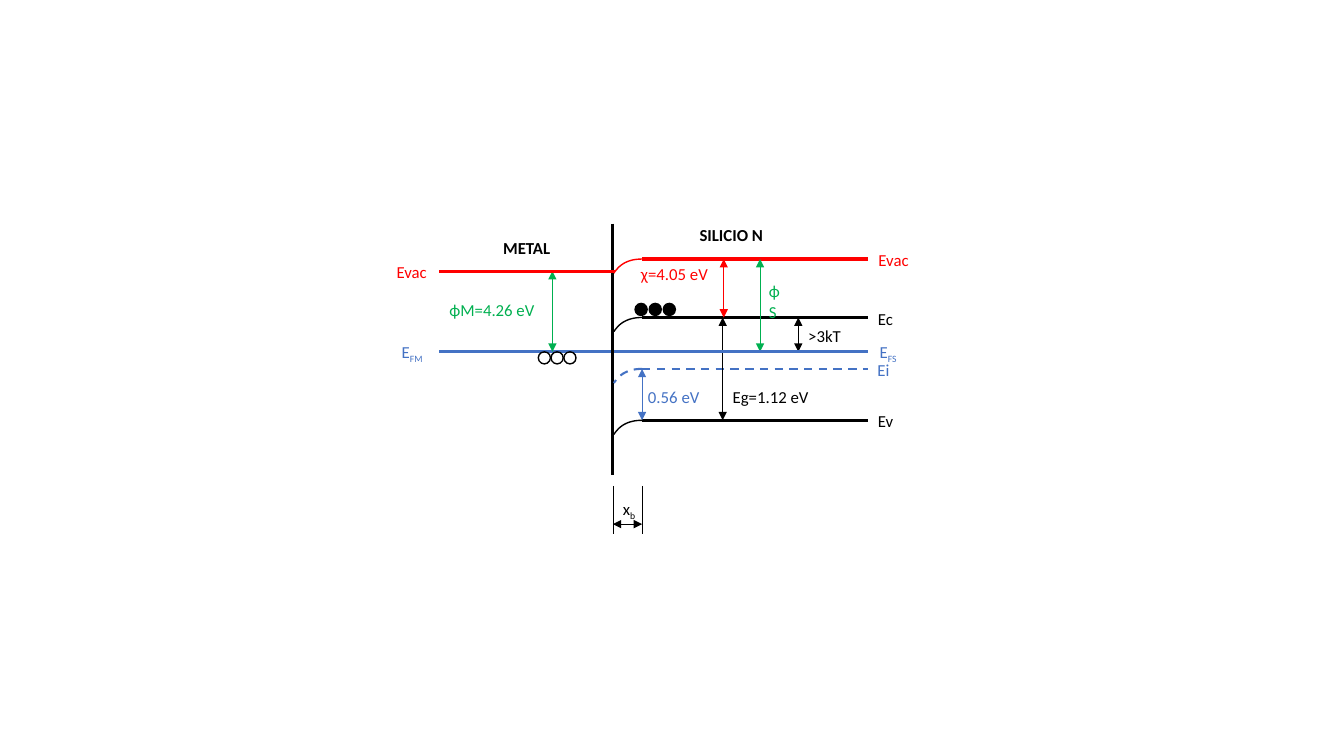
from dataclasses import dataclass

from lxml import etree
from pptx import Presentation
from pptx.dml.color import RGBColor
from pptx.enum.dml import MSO_LINE
from pptx.enum.shapes import MSO_CONNECTOR, MSO_SHAPE
from pptx.enum.text import MSO_AUTO_SIZE, PP_ALIGN
from pptx.oxml.ns import qn
from pptx.util import Inches, Pt

STRAIGHT = MSO_CONNECTOR.STRAIGHT
OVAL = MSO_SHAPE.OVAL
DASH = MSO_LINE.DASH
LEFT, CENTER = PP_ALIGN.LEFT, PP_ALIGN.CENTER
FIT_SHAPE = MSO_AUTO_SIZE.SHAPE_TO_FIT_TEXT

COLORS = {"vacuum": "FF0000", "band": "000000", "fermi": "4472C4", "work": "00B050"}
FONT = {"name": "Calibri", "size": Pt(12)}

# Grid of 133.3 columns by 75 rows
CELL = Inches(0.1)
COLUMNS, ROWS = 133.33, 75
METAL_EDGE, JUNCTION, BEND_END, SILICON_EDGE = 43.6, 60.8, 63.7, 86.1
METAL_VACUUM, VACUUM, CONDUCTION, FERMI, INTRINSIC, VALENCE = 26.9, 25.7, 31.5, 34.9, 36.6, 41.7
BEND_DEPTH, BEND_STEPS = 1.4, 16
LABEL_HEIGHT = 2.8
CARRIER_SIZE = 1.2
THICK, MEDIUM, CURVE, THIN = 2.25, 1.5, 1, 0.5


@dataclass(frozen=True)
class Segment:
    start: tuple[float, float]
    end: tuple[float, float]
    color: str
    weight: float = THICK
    dashed: bool = False
    arrows: bool = False


@dataclass(frozen=True)
class Bend:
    row: float
    color: str
    weight: float = CURVE
    dashed: bool = False


@dataclass(frozen=True)
class Label:
    text: str
    column: float
    row: float
    width: float
    color: str
    align: PP_ALIGN = LEFT
    subscript: str = ""
    bold: bool = False
    wrap: bool = False


@dataclass(frozen=True)
class Carriers:
    column: float
    row: float
    pitch: float
    filled: bool


def level(left: float, right: float, row: float, color: str,
          weight: float = THICK, dashed: bool = False) -> Segment:
    return Segment((left, row), (right, row), color, weight, dashed)


def gap(column: float, top: float, bottom: float, color: str) -> Segment:
    """Double-headed arrow between two energy levels."""
    return Segment((column, top), (column, bottom), color, THIN, arrows=True)


SEGMENTS = [
    level(BEND_END, SILICON_EDGE, VACUUM, "vacuum"),
    level(BEND_END, SILICON_EDGE, CONDUCTION, "band"),
    level(BEND_END, SILICON_EDGE, INTRINSIC, "fermi", MEDIUM, True),
    level(BEND_END, SILICON_EDGE, VALENCE, "band"),
    gap(71.8, VACUUM, CONDUCTION, "vacuum"),
    gap(79.2, CONDUCTION, FERMI, "band"),
    gap(BEND_END, INTRINSIC, VALENCE, "fermi"),
    gap(71.7, CONDUCTION, VALENCE, "band"),
    gap(75.4, VACUUM, FERMI, "work"),
    level(JUNCTION, SILICON_EDGE, FERMI, "fermi"),
    level(METAL_EDGE, JUNCTION, FERMI, "fermi"),
    gap(54.8, METAL_VACUUM, FERMI, "work"),
    Segment((JUNCTION, 22.2), (JUNCTION, 47.1), "band"),
    level(METAL_EDGE, JUNCTION + 0.2, METAL_VACUUM, "vacuum"),
    Segment((JUNCTION, 48.2), (JUNCTION, 53), "band", THIN),
    Segment((BEND_END, 48.2), (BEND_END, 53), "band", THIN),
    Segment((JUNCTION, 52), (BEND_END, 52), "band", THIN, arrows=True),
]

BENDS = [
    Bend(VACUUM, "vacuum"),
    Bend(CONDUCTION, "band"),
    Bend(INTRINSIC, "fermi", MEDIUM, True),
    Bend(VALENCE, "band"),
]

LABELS = [
    Label("χ=4.05 eV", 62.6, 25.7, 9, "vacuum"),
    Label(">3kT", 79.2, 31.8, 5.4, "band"),
    Label("0.56 eV", 63.3, 37.9, 7.2, "fermi"),
    Label("Eg=1.12 eV", 71.7, 37.9, 10, "band"),
    Label("ϕS", 75.3, 27.4, 3.8, "work", wrap=True),
    Label("Evac", 86, 24.3, 5.3, "vacuum", CENTER),
    Label("Ec", 86, 30.1, 3.7, "band", CENTER),
    Label("Ev", 86, 40.3, 3.7, "band", CENTER),
    Label("Ei", 86, 35.2, 3.3, "fermi", CENTER),
    Label("SILICIO N", 68, 21.8, 9.1, "band", CENTER, bold=True),
    Label("E", 86, 33.4, 4.2, "fermi", CENTER, "FS"),
    Label("x", 60.8, 49, 3.2, "band", subscript="b"),
    Label("ϕM=4.26 eV", 43.6, 29.2, 12, "work", wrap=True),
    Label("Evac", 38.2, 25.5, 5.3, "vacuum", CENTER),
    Label("E", 38.7, 33.4, 4.4, "fermi", CENTER, "FM"),
    Label("METAL", 48.7, 23.1, 7.1, "band", CENTER, bold=True),
]

CARRIERS = [Carriers(53.4, 34.9, 1.27, False), Carriers(63, 30.1, 1.4, True)]


def cells(*lengths: float) -> list[int]:
    return [round(length * CELL) for length in lengths]


def color_of(key: str) -> RGBColor:
    return RGBColor.from_string(COLORS[key])


def style_line(line, color: str, weight: float, dashed: bool = False) -> None:
    line.color.rgb = color_of(color)
    line.width = Pt(weight)
    if dashed:
        line.dash_style = DASH


def draw_segment(shapes, segment: Segment) -> None:
    connector = shapes.add_connector(STRAIGHT, *cells(*segment.start, *segment.end))
    style_line(connector.line, segment.color, segment.weight, segment.dashed)
    properties = connector._element.spPr
    if segment.arrows:
        outline = properties.find(qn("a:ln"))
        for tip in ("a:headEnd", "a:tailEnd"):
            etree.SubElement(outline, qn(tip), type="triangle")
    etree.SubElement(properties, qn("a:effectLst"))


def draw_bend(shapes, bend: Bend) -> None:
    """Cubic curve falling from the flat level to the junction."""
    controls = [(BEND_END, 0), (62, 0), (61.3, 0.8), (JUNCTION + 0.1, BEND_DEPTH)]
    points = []
    for step in range(BEND_STEPS + 1):
        t = step / BEND_STEPS
        weights = ((1 - t) ** 3, 3 * t * (1 - t) ** 2, 3 * t ** 2 * (1 - t), t ** 3)
        column = sum(w * c for w, (c, _) in zip(weights, controls))
        drop = sum(w * d for w, (_, d) in zip(weights, controls))
        points.append(cells(column, bend.row + drop))
    builder = shapes.build_freeform(*points[0])
    builder.add_line_segments(points[1:], close=False)
    curve = builder.convert_to_shape()
    curve.shadow.inherit = False
    curve.fill.background()
    style_line(curve.line, bend.color, bend.weight, bend.dashed)


def draw_label(shapes, label: Label) -> None:
    box = shapes.add_textbox(*cells(label.column, label.row, label.width, LABEL_HEIGHT))
    frame = box.text_frame
    frame.word_wrap = label.wrap
    frame.auto_size = FIT_SHAPE
    paragraph = frame.paragraphs[0]
    paragraph.alignment = label.align
    for text, baseline in ((label.text, None), (label.subscript, "-25000")):
        if not text:
            continue
        run = paragraph.add_run()
        run.text = text
        for attribute, value in (FONT | {"bold": label.bold}).items():
            setattr(run.font, attribute, value)
        run.font.color.rgb = color_of(label.color)
        if baseline:
            run._r.get_or_add_rPr().set("baseline", baseline)


def draw_carriers(shapes, carriers: Carriers) -> None:
    for index in range(3):
        column = carriers.column + index * carriers.pitch
        carrier = shapes.add_shape(OVAL, *cells(column, carriers.row, CARRIER_SIZE, CARRIER_SIZE))
        carrier.shadow.inherit = False
        if carriers.filled:
            carrier.fill.solid()
            carrier.fill.fore_color.rgb = color_of("band")
        else:
            carrier.fill.background()
        style_line(carrier.line, "band", CURVE)


def main() -> None:
    deck = Presentation()
    deck.slide_width, deck.slide_height = cells(COLUMNS, ROWS)
    shapes = deck.slides.add_slide(deck.slide_layouts[6]).shapes
    for draw, items in ((draw_segment, SEGMENTS), (draw_bend, BENDS),
                        (draw_label, LABELS), (draw_carriers, CARRIERS)):
        for item in items:
            draw(shapes, item)
    deck.save("out.pptx")


if __name__ == "__main__":
    main()
